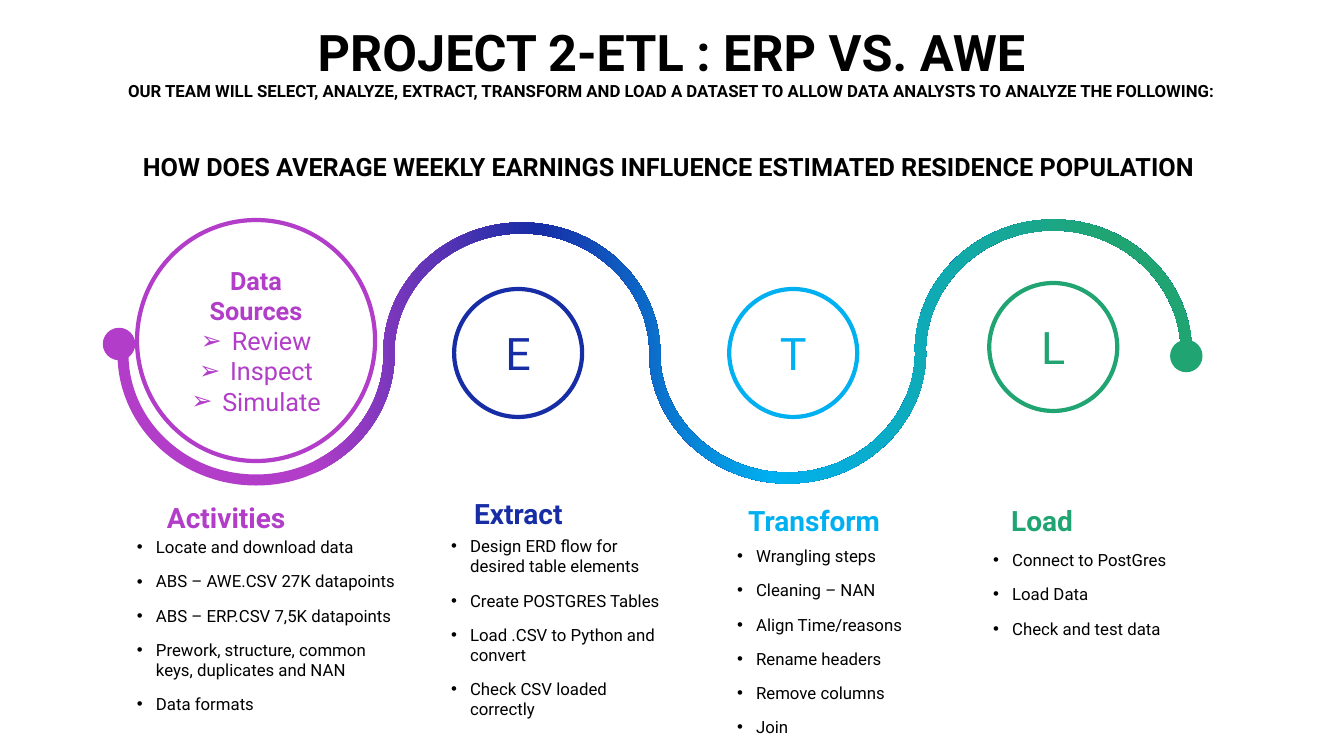
from copy import deepcopy

from lxml import etree
from pptx import Presentation
from pptx.dml.color import RGBColor
from pptx.enum.shapes import MSO_SHAPE
from pptx.enum.text import MSO_ANCHOR, PP_ALIGN
from pptx.oxml.ns import qn
from pptx.util import Emu, Inches, Pt

OVAL = MSO_SHAPE.OVAL
TOP, MIDDLE = MSO_ANCHOR.TOP, MSO_ANCHOR.MIDDLE
LEFT, CENTER = PP_ALIGN.LEFT, PP_ALIGN.CENTER
BLACK = RGBColor(0, 0, 0)
WHITE = RGBColor(255, 255, 255)
PURPLE = RGBColor(0xB1, 0x3D, 0xC8)
NAVY = RGBColor(0x17, 0x2D, 0xA6)
SKY = RGBColor(0x00, 0xB0, 0xF0)
GREEN = RGBColor(0x20, 0xA4, 0x72)
FONT = "Roboto"
SCALE = 914400 / 100.8
KAPPA = 0.55

TITLE = [
    ("PROJECT 2-ETL : ERP VS. AWE", 36, [36]),
    ("OUR TEAM WILL SELECT, ANALYZE, EXTRACT, TRANSFORM AND LOAD A DATASET "
     "TO ALLOW DATA ANALYSTS TO ANALYZE THE FOLLOWING:", 12, [12, 36]),
    ("HOW DOES AVERAGE WEEKLY EARNINGS INFLUENCE ESTIMATED RESIDENCE "
     "POPULATION ", 18, []),
]
STEPS = [
    ("E", NAVY, 454, 289),
    ("T", SKY, 729, 289),
    ("L", GREEN, 989, 283),
]
ARCS = [(354, 126), (353, -125), (352, 126), (352, -127)]
COLUMNS = [
    ("Activities", PURPLE, (157, 499), (127, 532, 285),
     ["Locate and download data", "ABS – AWE.CSV 27K datapoints",
      "ABS – ERP.CSV 7,5K datapoints",
      "Prework, structure, common keys, duplicates and NAN",
      "Data formats"]),
    ("Extract", NAVY, (464, 495), (441, 531, 236),
     ["Design ERD flow for desired table elements",
      "Create POSTGRES Tables", "Load .CSV to Python and convert",
      "Check CSV loaded correctly"]),
    ("Transform", SKY, (738, 502), (727, 541, 200),
     ["Wrangling steps", "Cleaning – NAN", "Align Time/reasons",
      "Rename headers", "Remove columns", "Join"]),
    ("Load", GREEN, (1001, 502), (983, 545, 200),
     ["Connect to PostGres", "Load Data", "Check and test data"]),
]


def px(value):
    return Emu(round(value * SCALE))


def box(*sizes):
    return [px(size) for size in sizes]


def style(run, size, color, bold):
    font = run.font
    font.name, font.size, font.bold = FONT, Pt(size), bold
    font.color.rgb = color


def write(frame, index, text, size, color, bold=False, align=LEFT,
          before=0, pitch=1.0):
    para = frame.paragraphs[0] if index == 0 else frame.add_paragraph()
    para.alignment = align
    para.line_spacing = pitch
    para.space_before = Pt(before)
    run = para.add_run()
    run.text = text
    style(run, size, color, bold)
    return para


def bullet(para, mark, indent):
    props = para._p.get_or_add_pPr()
    props.set("marL", str(px(indent)))
    props.set("indent", str(-px(indent)))
    etree.SubElement(props, qn("a:buFont")).set("typeface", "Arial")
    etree.SubElement(props, qn("a:buChar")).set("char", mark)


def circle(slide, place, fill, line, width):
    shape = slide.shapes.add_shape(OVAL, *box(*place))
    shape.shadow.inherit = False
    shape.fill.solid()
    shape.fill.fore_color.rgb = fill
    shape.line.color.rgb = line
    shape.line.width = Pt(width)
    frame = shape.text_frame
    frame.word_wrap = True
    frame.vertical_anchor = MIDDLE
    return frame


def label(slide, place):
    frame = slide.shapes.add_textbox(*box(*place)).text_frame
    frame.word_wrap = True
    return frame


def edge(side):
    curves = []
    for index, (mid, rise) in enumerate(ARCS):
        turn = 1 if rise > 0 else -1
        wide = 133 + side * turn * 5.5
        high = rise + side * 5.5
        unit = [(-1, 0), (-1, KAPPA), (-KAPPA, 1), (0, 1),
                (KAPPA, 1), (1, KAPPA), (1, 0)]
        center = 256 + 265.7 * index
        curves.append([(center + wide * x, mid + high * y) for x, y in unit])
    return curves


def draw(path, kind, points, left, top):
    node = etree.SubElement(path, qn("a:" + kind))
    for x, y in points:
        spot = etree.SubElement(node, qn("a:pt"))
        spot.set("x", str(px(x - left)))
        spot.set("y", str(px(y - top)))


def wave(slide):
    left, right, top, low = 117.5, 1191.6, 219.5, 485.5
    pen = slide.shapes.build_freeform(px(left), px(top), scale=1.0)
    pen.add_line_segments([box(right, top), box(right, low), box(left, low)])
    shape = pen.convert_to_shape()
    path = shape._element.spPr.find(".//" + qn("a:path"))
    for node in list(path):
        path.remove(node)
    back = [curve[::-1] for curve in edge(-1)[::-1]]
    for index, curve in enumerate(edge(1) + back):
        kind = "lnTo" if index else "moveTo"
        draw(path, kind, curve[:1], left, top)
        draw(path, "cubicBezTo", curve[1:4], left, top)
        draw(path, "cubicBezTo", curve[4:], left, top)
    etree.SubElement(path, qn("a:close"))
    shape.shadow.inherit = False
    shape.line.fill.background()
    fill = shape.fill
    fill.gradient()
    fill.gradient_angle = 0
    stops = shape._element.spPr.find(".//" + qn("a:gsLst"))
    for _ in range(2):
        stops.append(deepcopy(stops[0]))
    colors = [(0.18, PURPLE), (0.39, NAVY), (0.61, SKY), (0.92, GREEN)]
    for stop, (place, color) in zip(fill.gradient_stops, colors):
        stop.position = place
        stop.color.rgb = color


def heading(slide):
    title = slide.shapes.title
    title.left, title.top, title.width, title.height = box(25, 23, 1293, 104)
    frame = title.text_frame
    frame.word_wrap = True
    frame.vertical_anchor = TOP
    para = frame.paragraphs[0]
    para.alignment = CENTER
    para.line_spacing = 0.9
    para.space_before = Pt(10)
    for text, size, breaks in TITLE:
        run = para.add_run()
        run.text = text
        style(run, size, BLACK, True)
        for gap in breaks:
            para.add_line_break()
            props = deepcopy(run._r.rPr)
            props.set("sz", str(gap * 100))
            para._p[-1].append(props)


def source(slide):
    frame = circle(slide, (137, 220, 238, 241), WHITE, PURPLE, 3)
    write(frame, 0, "Data Sources", 18, PURPLE, True, CENTER)
    for index, text in enumerate(["Review", "Inspect", "Simulate"], 1):
        para = write(frame, index, text, 18, PURPLE, align=CENTER)
        bullet(para, "➢", 31)


def column(slide, name, color, head, body, items):
    frame = label(slide, (*head, 198, 33))
    write(frame, 0, name, 20, color, True, before=10, pitch=0.9)
    left, top, width = body
    frame = label(slide, (left, top, width, 78))
    for index, text in enumerate(items):
        bullet(write(frame, index, text, 12, BLACK, before=10), "•", 19)


def main():
    deck = Presentation()
    deck.slide_width, deck.slide_height = Inches(13.33), Inches(7.5)
    slide = deck.slides.add_slide(deck.slide_layouts[5])
    heading(slide)
    for text, color, left, top in STEPS:
        frame = circle(slide, (left, top, 128, 128), WHITE, color, 3)
        write(frame, 0, text, 32, color, align=CENTER)
    source(slide)
    wave(slide)
    for color, left, top in [(PURPLE, 107, 332), (GREEN, 1174, 344)]:
        circle(slide, (left, top, 24, 24), color, color, 6)
    for entry in COLUMNS:
        column(slide, *entry)
    deck.save("out.pptx")


main()
